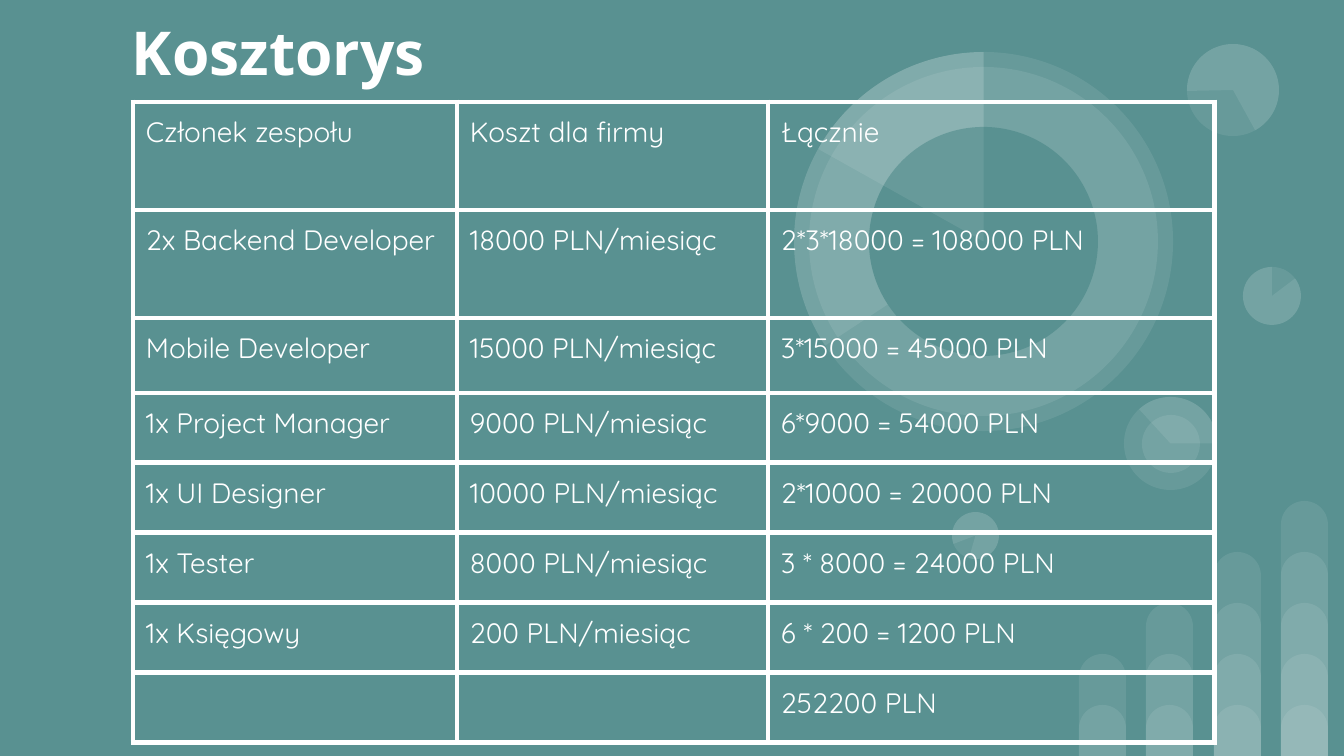
from dataclasses import dataclass
from typing import NamedTuple

from lxml.etree import SubElement
from pptx import Presentation
from pptx.dml.color import RGBColor
from pptx.enum.shapes import MSO_SHAPE
from pptx.enum.text import MSO_ANCHOR
from pptx.oxml.ns import qn
from pptx.util import Pt

EMU_PER_PX = 914400 / 134.4


@dataclass(frozen=True)
class Theme:
    background: str = "599191"
    foreground: str = "FFFFFF"
    tint_percent: int = 9
    title_font: str = "Open Sans"
    title_size: float = 32.4
    body_font: str = "Quicksand"
    body_size: float = 15
    border_width: float = 3


class Box(NamedTuple):
    left: int
    top: int
    width: int
    height: int

    def inset(self, margin):
        return Box(self.left + margin, self.top + margin,
                   self.width - 2 * margin, self.height - 2 * margin)

    def emu(self):
        return [px(length) for length in self]


THEME = Theme()
INSET = 13
COLUMN_WIDTHS = (324, 311, 447)
ROW_HEIGHTS = (108, 108, 75, 70, 70, 70, 70, 70)
COSTS = (
    ("Członek zespołu", "Koszt dla firmy", "Łącznie"),
    ("2x Backend Developer", "18000 PLN/miesiąc", "2*3*18000 = 108000 PLN"),
    ("Mobile Developer", "15000 PLN/miesiąc", "3*15000 = 45000 PLN"),
    ("1x Project Manager", "9000 PLN/miesiąc", "6*9000 = 54000 PLN"),
    ("1x UI Designer", "10000 PLN/miesiąc", "2*10000 = 20000 PLN"),
    ("1x Tester", "8000 PLN/miesiąc", "3 * 8000 = 24000 PLN"),
    ("1x Księgowy", "200 PLN/miesiąc", "6 * 200 = 1200 PLN"),
    ("", "", "252200 PLN"),
)
# Box, rotation and start angle, end angle of the slice, in degrees.
SMALL_PIES = (
    (Box(1243, 267, 58, 58), 0, 322.95, 270),
    (Box(952, 512, 47, 47), 196.2, 322.95, 270),
    (Box(1124, 397, 93, 93), 90, 137.41, 270),
    (Box(1187, 44, 92, 92), 215.9, 322.95, 205.23),
)


def px(length):
    return round(length * EMU_PER_PX)


def color(code):
    return RGBColor.from_string(code)


def write_text(frame, text, *, font, size, bold=False):
    run = frame.paragraphs[0].add_run()
    run.text = text
    run.font.name = font
    run.font.size = Pt(size)
    run.font.bold = bold
    run.font.color.rgb = color(THEME.foreground)


def set_insets(target):
    """Give a text frame or a table cell equal margins."""
    for side in ("left", "right", "top", "bottom"):
        setattr(target, f"margin_{side}", px(INSET))


def add_tint(slide, kind, box, rotation=0, adjustments=()):
    """Add a borderless shape in translucent white."""
    shape = slide.shapes.add_shape(kind, *box.emu())
    shape.shadow.inherit = False
    shape.rotation = rotation
    for index, value in enumerate(adjustments):
        shape.adjustments[index] = value
    shape.line.fill.background()
    shape.fill.solid()
    shape.fill.fore_color.rgb = color(THEME.foreground)
    rgb = shape.fill._xPr.find(f".//{qn('a:srgbClr')}")
    SubElement(rgb, qn("a:alpha"), val=str(THEME.tint_percent * 1000))
    return shape


def add_slice(slide, box, start, end, rotation=0):
    # An angle unit is 1/60000 degree; adjustments are in units of 100000.
    add_tint(slide, MSO_SHAPE.PIE, box, rotation, (start * 0.6, end * 0.6))


def add_small_pie(slide, box, rotation, start, end):
    add_tint(slide, MSO_SHAPE.OVAL, box, rotation)
    add_slice(slide, box, start, end, rotation)


def add_ring(slide, box):
    add_tint(slide, MSO_SHAPE.OVAL, box)
    add_tint(slide, MSO_SHAPE.OVAL, box.inset(15))
    add_slice(slide, box, 146.69, 270)
    hole = slide.shapes.add_shape(MSO_SHAPE.OVAL, *box.inset(75).emu())
    hole.shadow.inherit = False
    hole.line.fill.background()
    hole.fill.solid()
    hole.fill.fore_color.rgb = color(THEME.background)
    add_slice(slide, box, 209.24, 270)


def add_bars(slide, box, columns=4, bar_width=47):
    """Stack ever taller bars, one layer more in each column."""
    pitch = (box.width - bar_width) / (columns - 1)
    step = box.height // (columns + 1)
    bottom = box.top + box.height
    for column in range(columns):
        left = box.left + round(column * pitch)
        for layer in range(1, column + 3):
            bar = Box(left, bottom - layer * step, bar_width, layer * step)
            add_tint(slide, MSO_SHAPE.ROUND_2_SAME_RECTANGLE, bar,
                     adjustments=(0.5, 0))


def add_title(slide, box, text):
    frame = slide.shapes.add_textbox(*box.emu()).text_frame
    frame.word_wrap = True
    frame.vertical_anchor = MSO_ANCHOR.MIDDLE
    set_insets(frame)
    write_text(frame, text, font=THEME.title_font, size=THEME.title_size,
               bold=True)


def format_cell(cell):
    set_insets(cell)
    properties = cell._tc.get_or_add_tcPr()
    for edge in ("a:lnL", "a:lnR", "a:lnT", "a:lnB"):
        line = SubElement(properties, qn(edge),
                          w=str(Pt(THEME.border_width)))
        fill = SubElement(line, qn("a:solidFill"))
        SubElement(fill, qn("a:srgbClr"), val=THEME.foreground)
    cell.fill.background()


def add_cost_table(slide, box):
    table = slide.shapes.add_table(
        len(ROW_HEIGHTS), len(COLUMN_WIDTHS), *box.emu()).table
    table.first_row = table.horz_banding = False
    for column, width in zip(table.columns, COLUMN_WIDTHS):
        column.width = px(width)
    for row, height, texts in zip(table.rows, ROW_HEIGHTS, COSTS):
        row.height = px(height)
        for cell, text in zip(row.cells, texts):
            format_cell(cell)
            if text:
                write_text(cell.text_frame, text, font=THEME.body_font,
                           size=THEME.body_size)


def add_cost_slide(presentation):
    slide = presentation.slides.add_slide(presentation.slide_layouts[6])
    slide.background.fill.solid()
    slide.background.fill.fore_color.rgb = color(THEME.background)
    add_bars(slide, Box(1079, 501, 249, 255))
    for box, rotation, start, end in SMALL_PIES:
        add_small_pie(slide, box, rotation, start, end)
    add_tint(slide, MSO_SHAPE.OVAL, Box(1142, 415, 58, 58))
    add_ring(slide, Box(794, 52, 379, 379))
    add_title(slide, Box(119, 0, 625, 102), "Kosztorys")
    add_cost_table(
        slide, Box(133, 102, sum(COLUMN_WIDTHS), sum(ROW_HEIGHTS)))


def main():
    presentation = Presentation()
    presentation.slide_width = px(1344)
    presentation.slide_height = px(756)
    add_cost_slide(presentation)
    presentation.save("out.pptx")


if __name__ == "__main__":
    main()
